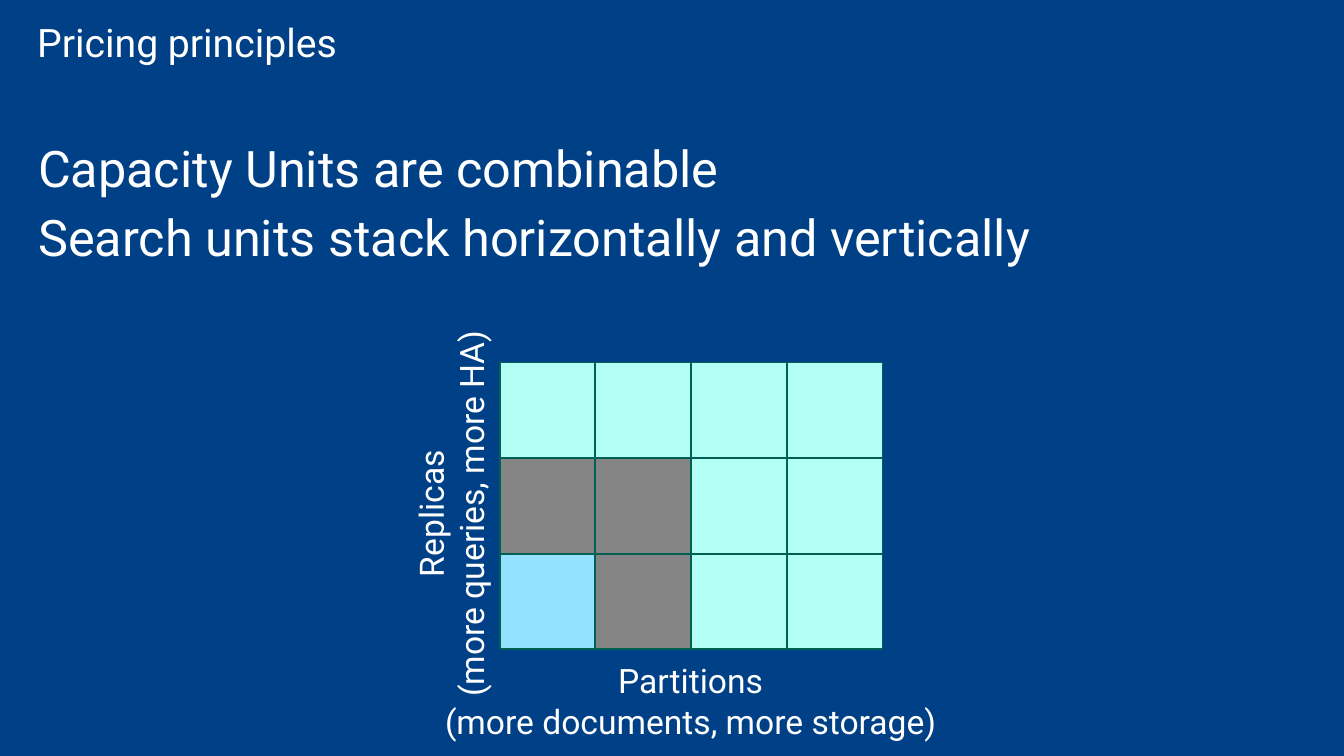
"""Build the pricing principles slide with its grid of search units."""
from dataclasses import dataclass
from typing import Optional

import pptx
import pptx.dml.color
import pptx.enum.shapes
import pptx.enum.text
import pptx.util

Inches = pptx.util.Inches
Pt = pptx.util.Pt
ALIGN = pptx.enum.text.PP_ALIGN
ANCHOR = pptx.enum.text.MSO_ANCHOR

FONT = "Roboto"
WHITE, NAVY, GREEN = "FFFFFF", "004086", "006054"
SKY, GREY, MINT = "93E2FF", "858585", "B3FFF6"
UNIT_ROWS = [
    [MINT, MINT, MINT, MINT],
    [GREY, GREY, MINT, MINT],
    [SKY, GREY, MINT, MINT],
]
GRID_LEFT, GRID_TOP = 4.96, 3.6
UNIT_SIZE, UNIT_PITCH = 0.94, 0.95


@dataclass(frozen=True)
class Label:
    left: float
    top: float
    width: float
    height: float
    paragraphs: list[list[str]]
    size: int
    centered: bool = False
    rotation: int = 0
    indent: float = 0
    space_after: int = 0
    line_spacing: Optional[float] = None


LABELS = [
    Label(4.25, 6.5, 5.2, 0.91,
          [["Partitions"], ["(more documents, more storage)"]], 24, centered=True),
    Label(2.14, 4.64, 4.67, 0.91,
          [["Replicas", "(more queries, more HA)"]], 24, centered=True, rotation=270),
    Label(0, 0.99, 13.33, 2.03,
          [["Capacity Units are combinable"],
           ["Search units stack horizontally and vertically"]],
          36, indent=0.28, space_after=6),
    Label(-0.01, 0, 13.34, 0.89, [["Pricing principles"]], 28,
          indent=0.28, line_spacing=0.9),
]


def color(value: str) -> pptx.dml.color.RGBColor:
    return pptx.dml.color.RGBColor.from_string(value)


def draw_units(s: pptx.slide.Slide) -> None:
    group = s.shapes.add_group_shape()
    for row, fills in enumerate(UNIT_ROWS):
        for col, fill in enumerate(fills):
            sp = group.shapes.add_shape(
                pptx.enum.shapes.MSO_SHAPE.RECTANGLE,
                Inches(GRID_LEFT + col * UNIT_PITCH),
                Inches(GRID_TOP + row * UNIT_PITCH),
                Inches(UNIT_SIZE), Inches(UNIT_SIZE))
            sp.shadow.inherit = False
            sp.fill.solid()
            sp.fill.fore_color.rgb = color(fill)
            sp.line.color.rgb = color(GREEN)
            sp.line.width = Pt(0.85)


def draw_label(s: pptx.slide.Slide, label: Label) -> None:
    sp = s.shapes.add_textbox(Inches(label.left), Inches(label.top),
                              Inches(label.width), Inches(label.height))
    sp.rotation = label.rotation
    tf = sp.text_frame
    tf.word_wrap = True
    tf.vertical_anchor = ANCHOR.TOP if label.centered else ANCHOR.MIDDLE
    for i, lines in enumerate(label.paragraphs):
        p = tf.add_paragraph() if i else tf.paragraphs[0]
        p.alignment = ALIGN.CENTER if label.centered else ALIGN.LEFT
        p.space_after = Pt(label.space_after)
        p.line_spacing = label.line_spacing
        if label.indent:
            p._p.get_or_add_pPr().set("marL", str(Inches(label.indent)))
        for j, line in enumerate(lines):
            if j:
                p.add_line_break()
            r = p.add_run()
            r.text = line
            r.font.name = FONT
            r.font.size = Pt(label.size)
            r.font.color.rgb = color(WHITE)


def main() -> None:
    prs = pptx.Presentation()
    prs.slide_width, prs.slide_height = Inches(13.33), Inches(7.5)
    s = prs.slides.add_slide(prs.slide_layouts[6])
    s.background.fill.solid()
    s.background.fill.fore_color.rgb = color(NAVY)
    draw_units(s)
    for label in LABELS:
        draw_label(s, label)
    prs.save("out.pptx")


if __name__ == "__main__":
    main()
